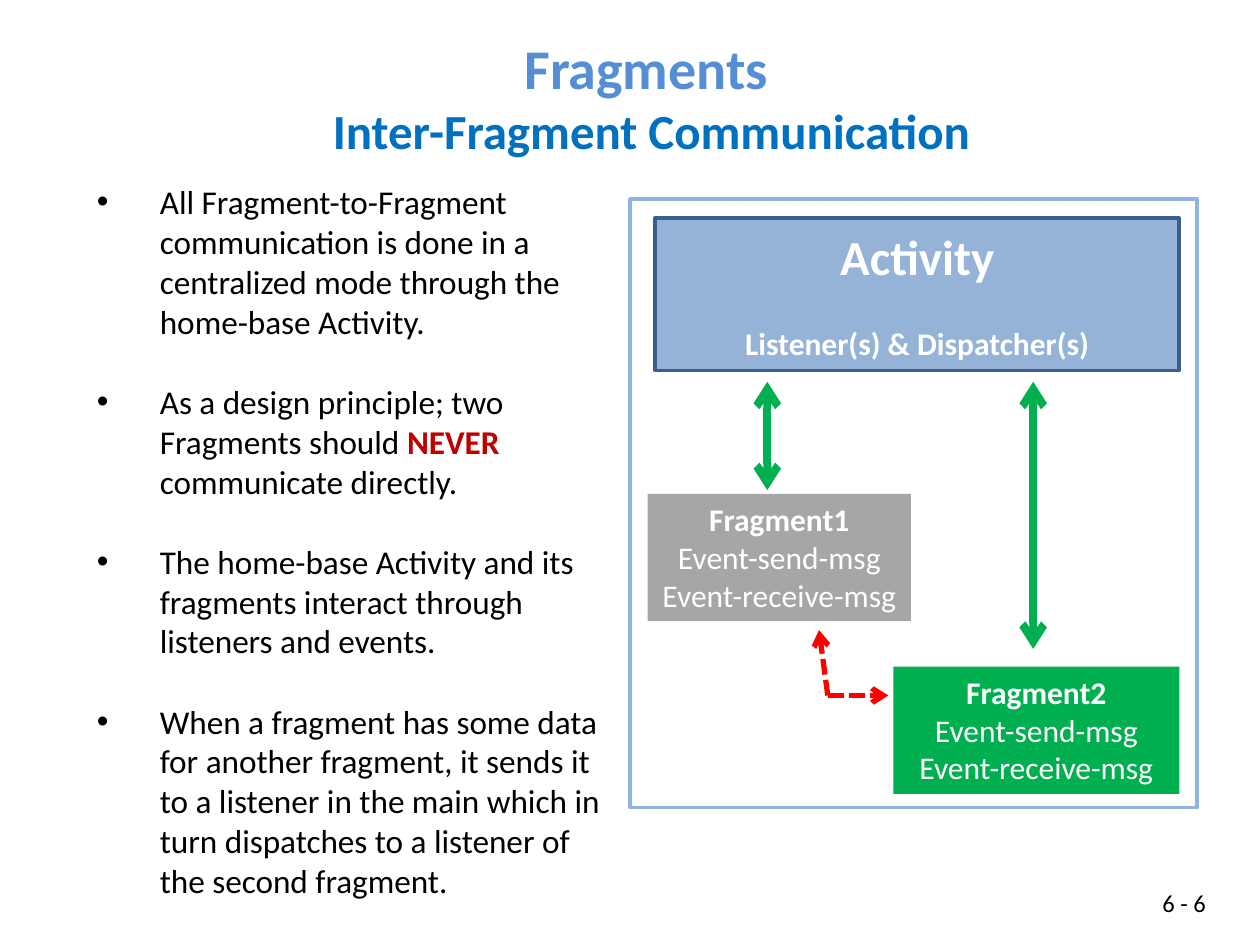
from lxml import etree
from pptx import Presentation
from pptx.dml.color import RGBColor
from pptx.enum.dml import MSO_LINE
from pptx.enum.shapes import MSO_CONNECTOR, MSO_SHAPE
from pptx.enum.text import MSO_ANCHOR, MSO_AUTO_SIZE, PP_ALIGN
from pptx.oxml.ns import qn
from pptx.util import Inches, Pt

LEFT, CENTER, RIGHT = PP_ALIGN.LEFT, PP_ALIGN.CENTER, PP_ALIGN.RIGHT
TOP, MIDDLE = MSO_ANCHOR.TOP, MSO_ANCHOR.MIDDLE
NO_AUTOFIT = MSO_AUTO_SIZE.NONE
RECTANGLE = MSO_SHAPE.RECTANGLE
STRAIGHT = MSO_CONNECTOR.STRAIGHT
SHORT_DASH = MSO_LINE.SQUARE_DOT

BLACK = RGBColor(0x00, 0x00, 0x00)
WHITE = RGBColor(0xFF, 0xFF, 0xFF)
TITLE_BLUE = RGBColor(0x55, 0x8E, 0xD5)
SUBTITLE_BLUE = RGBColor(0x00, 0x70, 0xC0)
FRAME_BLUE = RGBColor(0x8E, 0xB4, 0xE3)
ACTIVITY_BLUE = RGBColor(0x95, 0xB3, 0xD7)
ACTIVITY_EDGE = RGBColor(0x3A, 0x5F, 0x8C)
GRAY = RGBColor(0xA6, 0xA6, 0xA6)
GREEN = RGBColor(0x00, 0xB0, 0x50)
DARK_RED = RGBColor(0xC0, 0x00, 0x00)
RED = RGBColor(0xFF, 0x00, 0x00)

FONT = "Calibri"
COLUMNS, ROWS = 100, 75
CELL = Inches(0.1)

POINTS = [
    [("All Fragment-to-Fragment communication is done in a centralized mode "
      "through the home-base Activity.", False)],
    [("As a design principle; two Fragments should ", False),
     ("NEVER ", True),
     ("communicate directly.", False)],
    [("The home-base Activity and its fragments interact through listeners "
      "and events.", False)],
    [("When a fragment has some data for another fragment, it sends it to a "
      "listener in the main which in turn dispatches to a listener of the "
      "second fragment.", False)],
]
MESSAGES = ["Event-send-msg", "Event-receive-msg"]


def cells(*counts):
    return [round(count * CELL) for count in counts]


def add_text(paragraph, text, size=18, color=WHITE, bold=False, align=CENTER):
    paragraph.alignment = align
    run = paragraph.add_run()
    run.text = text
    run.font.name = FONT
    run.font.size = Pt(size)
    run.font.bold = bold
    run.font.color.rgb = color


def next_paragraph(frame, index, gap=0):
    if index == 0:
        return frame.paragraphs[0]
    paragraph = frame.add_paragraph()
    paragraph.space_before = Pt(gap)
    return paragraph


def add_title(slide, text, *place):
    title = slide.shapes.title
    title.left, title.top, title.width, title.height = cells(*place)
    frame = title.text_frame
    frame.auto_size = NO_AUTOFIT
    frame.vertical_anchor = MIDDLE
    add_text(frame.paragraphs[0], text, size=32, color=TITLE_BLUE, bold=True)


def add_box(slide, *place):
    frame = slide.shapes.add_textbox(*cells(*place)).text_frame
    frame.word_wrap = True
    return frame


def add_bullet(paragraph):
    properties = paragraph._p.get_or_add_pPr()
    properties.set("marL", str(Inches(0.5)))
    properties.set("indent", str(-Inches(0.5)))
    font = etree.SubElement(properties, qn("a:buFont"))
    font.set("typeface", "Arial")
    etree.SubElement(properties, qn("a:buChar")).set("char", "•")


def add_points(slide, *place):
    frame = add_box(slide, *place)
    for index, pieces in enumerate(POINTS):
        paragraph = next_paragraph(frame, index, gap=23)
        add_bullet(paragraph)
        for text, strong in pieces:
            add_text(paragraph, text, size=19, bold=strong, align=LEFT,
                     color=DARK_RED if strong else BLACK)


def add_rectangle(slide, *place, fill=None, line=None, anchor=TOP):
    shape = slide.shapes.add_shape(RECTANGLE, *cells(*place))
    shape.shadow.inherit = False
    if fill is None:
        shape.fill.background()
    else:
        shape.fill.solid()
        shape.fill.fore_color.rgb = fill
    if line is None:
        shape.line.fill.background()
    else:
        shape.line.color.rgb = line
        shape.line.width = Pt(2)
    shape.text_frame.vertical_anchor = anchor
    return shape.text_frame


def add_fragment(slide, name, fill, *place):
    frame = add_rectangle(slide, *place, fill=fill)
    for index, text in enumerate([name] + MESSAGES):
        add_text(next_paragraph(frame, index), text, bold=index == 0)


def add_arrow(slide, *ends, color=GREEN, width=4.5, dash=None, both=True):
    connector = slide.shapes.add_connector(STRAIGHT, *cells(*ends))
    connector.line.color.rgb = color
    connector.line.width = Pt(width)
    if dash is not None:
        connector.line.dash_style = dash
    line = connector.line._get_or_add_ln()
    for tag in ["a:headEnd", "a:tailEnd"] if both else ["a:tailEnd"]:
        etree.SubElement(line, qn(tag)).set("type", "arrow")
    etree.SubElement(connector._element.spPr, qn("a:effectLst"))


def add_diagram(slide):
    add_arrow(slide, 82, 51.5, 82, 30.3)
    add_rectangle(slide, 50, 15.8, 45, 48.3, line=FRAME_BLUE)
    activity = add_rectangle(slide, 52, 17.3, 41.6, 12.1, fill=ACTIVITY_BLUE,
                             line=ACTIVITY_EDGE, anchor=MIDDLE)
    add_text(next_paragraph(activity, 0), "Activity", size=28, bold=True)
    add_text(next_paragraph(activity, 1, gap=22),
             "Listener(s) & Dispatcher(s)", bold=True)
    add_fragment(slide, "Fragment1", GRAY, 51.4, 39.2, 20.9, 10.1)
    add_fragment(slide, "Fragment2", GREEN, 70.9, 52.9, 22.7, 10.1)
    add_arrow(slide, 60.9, 38.9, 60.9, 30.3)
    for end in [(70.5, 55.2), (65, 50)]:
        add_arrow(slide, 65.7, 55.2, *end, color=RED, width=3,
                  dash=SHORT_DASH, both=False)


def main():
    presentation = Presentation()
    presentation.slide_width, presentation.slide_height = cells(COLUMNS, ROWS)
    slide = presentation.slides.add_slide(presentation.slide_layouts[5])
    add_title(slide, "Fragments", 6.3, 2, 90, 6.6)
    subtitle = add_box(slide, 6.7, 7.5, 90, 5.7)
    add_text(subtitle.paragraphs[0], "Inter-Fragment Communication",
             size=28, color=SUBTITLE_BLUE, bold=True)
    add_points(slide, 6.7, 13.9, 42.5, 58.6)
    add_diagram(slide)
    number = add_box(slide, 85, 70, 11.7, 3.4)
    add_text(number.paragraphs[0], "6 - 6", size=14, color=BLACK, align=RIGHT)
    presentation.save("out.pptx")


if __name__ == "__main__":
    main()
